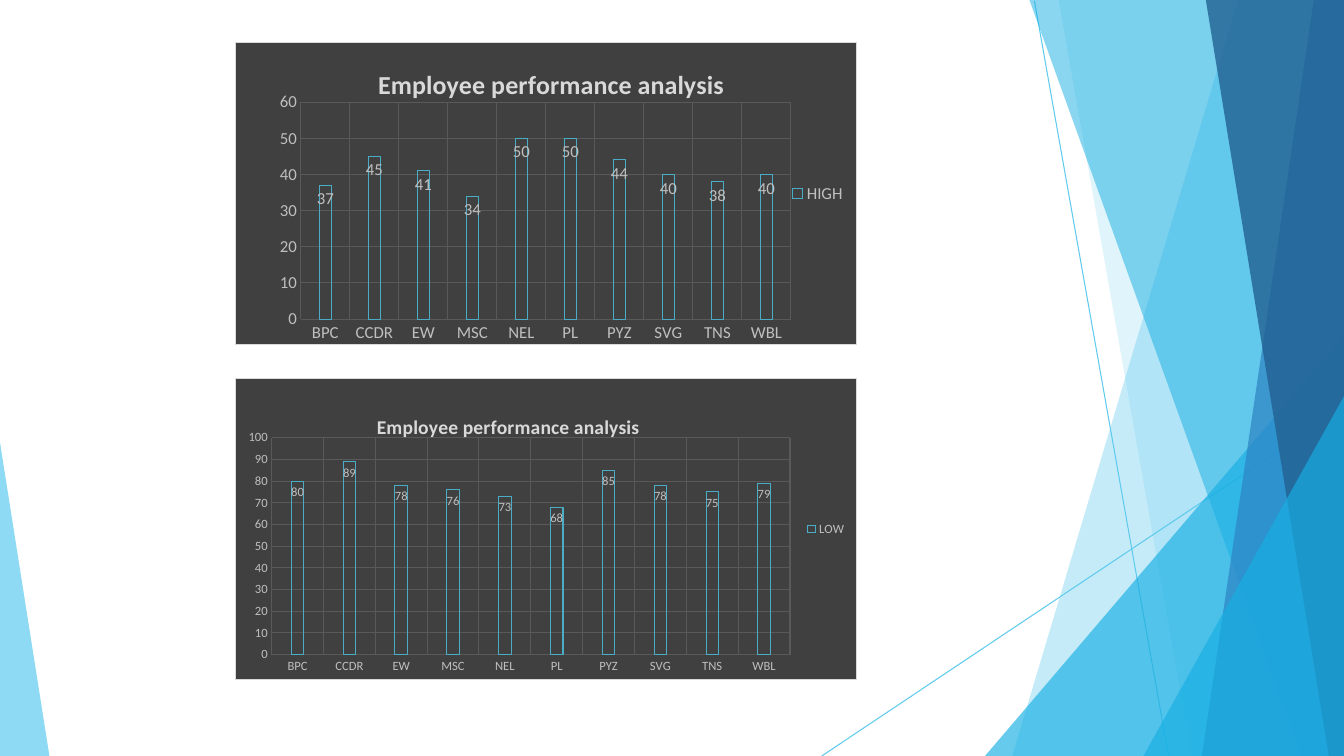
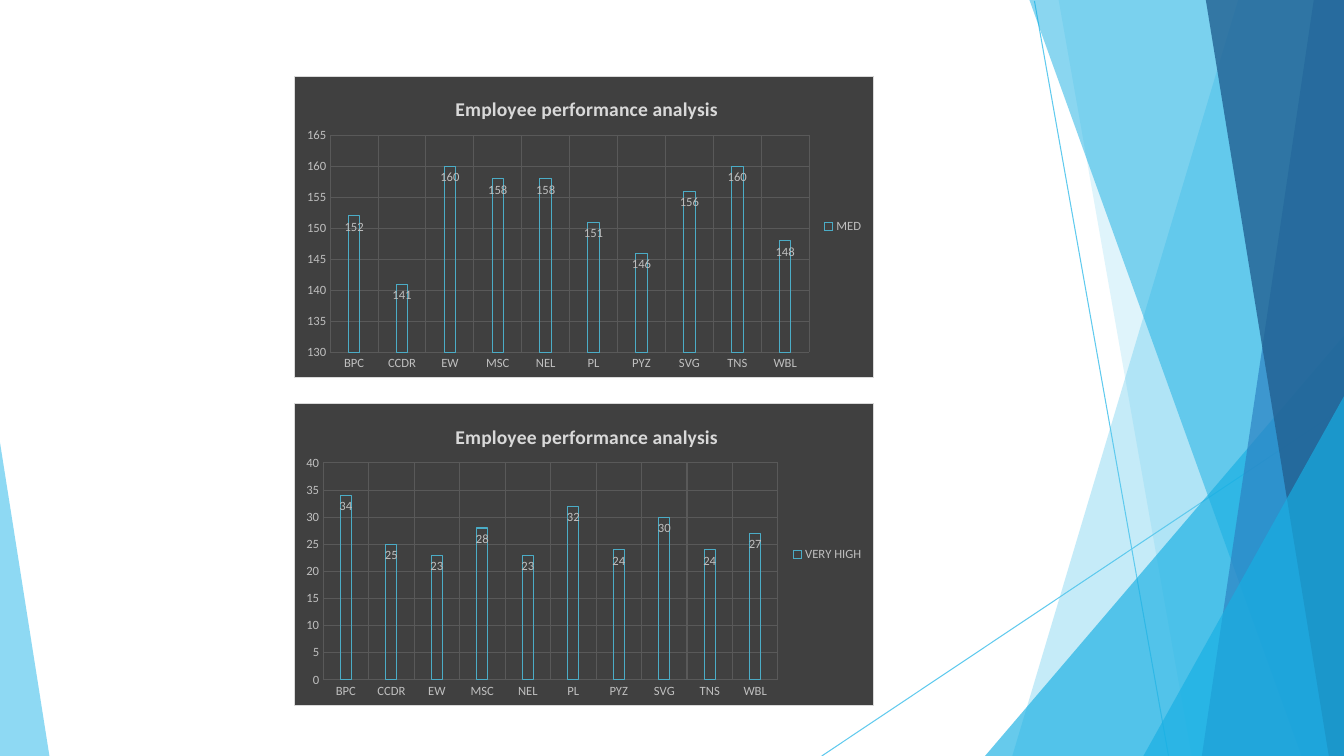
from lxml.etree import SubElement
from pptx import Presentation
from pptx.chart.data import CategoryChartData
from pptx.dml.color import RGBColor
from pptx.enum.chart import (XL_CHART_TYPE, XL_LABEL_POSITION,
                             XL_LEGEND_POSITION, XL_TICK_MARK)
from pptx.enum.shapes import MSO_CONNECTOR
from pptx.oxml import parse_xml
from pptx.oxml.ns import nsdecls, qn
from pptx.util import Inches, Pt

SKY = RGBColor(0x5F, 0xCA, 0xEE)
CYAN = RGBColor(0x17, 0xAF, 0xE3)
BLUE = RGBColor(0x2D, 0x83, 0xC3)
NAVY = RGBColor(0x22, 0x61, 0x92)
PANEL = RGBColor(0x40, 0x40, 0x40)
GRID = RGBColor(0x59, 0x59, 0x59)
LABEL = RGBColor(0xBF, 0xBF, 0xBF)
TITLE = RGBColor(0xD9, 0xD9, 0xD9)
BAR_OUTLINE = RGBColor(0x4B, 0xAC, 0xC6)

FONT = "Calibri"
WIDTH, HEIGHT = 13.33, 7.5
CHART_HEIGHT = 3
PLOT_TOP, PLOT_HEIGHT = 0.59, 2.16
CHART_TITLE = "Employee performance analysis"
UNITS = ["BPC", "CCDR", "EW", "MSC", "NEL", "PL", "PYZ", "SVG", "TNS", "WBL"]

RAYS = [((10.26, 0.01), (11.59, HEIGHT)), ((WIDTH, 4.04), (8.15, HEIGHT))]
# Each facet: colour, opacity in percent, corners
FACETS = [
    (SKY, 36, [(WIDTH, 0), (12.28, 0), (10.04, HEIGHT), (WIDTH, HEIGHT)]),
    (SKY, 20, [(WIDTH, 0), (10.5, 0), (11.82, HEIGHT), (WIDTH, HEIGHT)]),
    (CYAN, 66, [(WIDTH, 3.33), (9.77, HEIGHT), (WIDTH, HEIGHT)]),
    (CYAN, 50, [(WIDTH, 0), (10.21, 0), (12.91, HEIGHT), (WIDTH, HEIGHT)]),
    (BLUE, 70, [(WIDTH, 0), (13.03, 0), (11.92, HEIGHT), (WIDTH, HEIGHT)]),
    (NAVY, 80, [(WIDTH, 0), (11.96, 0), (13.18, HEIGHT), (WIDTH, HEIGHT)]),
    (CYAN, 66, [(WIDTH, 3.93), (11.34, HEIGHT), (WIDTH, HEIGHT)]),
    (SKY, 70, [(0, 4.39), (0, HEIGHT), (0.49, HEIGHT)]),
]

# Per slide: left and width of its charts, then the charts from top to bottom.
# Title position and plot left/width are inches inside the chart.
SLIDES = [
    (2.33, 6.17, [
        dict(top=0.42, rating="HIGH", scale=(0, 60, 10), size=12,
             values=[37, 45, 41, 34, 50, 50, 44, 40, 38, 40],
             title_size=18.6, title_at=(1.37, 0.19), plot=(0.65, 4.87)),
        dict(top=3.75, rating="LOW", scale=(0, 100, 10), size=9,
             values=[80, 89, 78, 76, 73, 68, 85, 78, 75, 79],
             title_size=14, title_at=(1.37, 0.31), plot=(0.36, 5.15)),
    ]),
    (2.92, 5.75, [
        dict(top=0.75, rating="MED", scale=(130, 165, 5), size=9,
             values=[152, 141, 160, 158, 158, 151, 146, 156, 160, 148],
             title_size=14, title_at=(1.56, 0.16), plot=(0.35, 4.76)),
        dict(top=4, rating="VERY HIGH", scale=(0, 40, 5), size=9,
             values=[34, 25, 23, 28, 23, 32, 24, 30, 24, 27],
             title_size=14, title_at=(1.56, 0.16), plot=(0.28, 4.52)),
    ]),
]


def draw_facets(slide, layout):
    """Draw the backdrop and hand it to the layout that the slides share."""
    backdrop = []
    for start, end in RAYS:
        ray = slide.shapes.add_connector(
            MSO_CONNECTOR.STRAIGHT, *map(Inches, start + end))
        ray.line.color.rgb = SKY
        ray.line.width = Pt(0.75)
        SubElement(ray.element.spPr, qn("a:effectLst"))
        backdrop.append(ray)
    for color, opacity, corners in FACETS:
        points = [(Inches(x), Inches(y)) for x, y in corners]
        outline = slide.shapes.build_freeform(*points[0])
        outline.add_line_segments(points[1:], close=True)
        facet = outline.convert_to_shape()
        facet.shadow.inherit = False
        facet.line.fill.background()
        facet.fill.solid()
        facet.fill.fore_color.rgb = color
        tint = facet.element.spPr.find(".//" + qn("a:srgbClr"))
        SubElement(tint, qn("a:alpha"), val=str(opacity * 1000))
        backdrop.append(facet)
    for part in backdrop:
        layout.shapes.element.append(part.element)


def style_font(font, size, color=LABEL, bold=False):
    font.name = FONT
    font.size = Pt(size)
    font.color.rgb = color
    font.bold = bold


def set_layout(parent, index, inner=False, **fractions):
    """Fix the place of a chart part, as fractions of the chart."""
    for old in parent.findall(qn("c:layout")):
        parent.remove(old)
    layout = parse_xml(f'<c:layout {nsdecls("c")}><c:manualLayout/></c:layout>')
    manual = layout[0]
    if inner:
        SubElement(manual, qn("c:layoutTarget"), val="inner")
    for side in "xy":
        SubElement(manual, qn(f"c:{side}Mode"), val="edge")
    for key, fraction in fractions.items():
        SubElement(manual, qn(f"c:{key}"), val=f"{fraction:.4f}")
    parent.insert(index, layout)


def fill_panel(chart):
    chart.element.find(qn("c:chart")).addnext(parse_xml(
        f'<c:spPr {nsdecls("c", "a")}>'
        f'<a:solidFill><a:srgbClr val="{PANEL}"/></a:solidFill>'
        f'<a:ln w="{Pt(0.75)}"><a:solidFill><a:srgbClr val="{TITLE}"/>'
        '</a:solidFill></a:ln></c:spPr>'))


def style_axis(axis, size):
    axis.major_tick_mark = axis.minor_tick_mark = XL_TICK_MARK.NONE
    axis.format.line.fill.background()
    axis.has_major_gridlines = True
    axis.major_gridlines.format.line.color.rgb = GRID
    axis.major_gridlines.format.line.width = Pt(0.75)
    style_font(axis.tick_labels.font, size)


def add_rating_chart(slide, left, width, top, rating, values, scale, size,
                     title_size, title_at, plot):
    data = CategoryChartData()
    data.categories = UNITS
    data.add_series(rating, values)
    chart = slide.shapes.add_chart(
        XL_CHART_TYPE.COLUMN_CLUSTERED, Inches(left), Inches(top),
        Inches(width), Inches(CHART_HEIGHT), data).chart
    style_font(chart.font, 10)
    fill_panel(chart)

    chart.has_title = True
    heading = chart.chart_title.text_frame.paragraphs[0].add_run()
    heading.text = CHART_TITLE
    style_font(heading.font, title_size, TITLE, bold=True)
    set_layout(chart.chart_title.element, 1,
               x=title_at[0] / width, y=title_at[1] / CHART_HEIGHT)
    set_layout(chart.element.find(".//" + qn("c:plotArea")), 0, inner=True,
               x=plot[0] / width, y=PLOT_TOP / CHART_HEIGHT,
               w=plot[1] / width, h=PLOT_HEIGHT / CHART_HEIGHT)

    chart.has_legend = True
    chart.legend.position = XL_LEGEND_POSITION.RIGHT
    chart.legend.include_in_layout = False
    style_font(chart.legend.font, size)

    style_axis(chart.category_axis, size)
    style_axis(chart.value_axis, size)
    (chart.value_axis.minimum_scale, chart.value_axis.maximum_scale,
     chart.value_axis.major_unit) = scale

    columns = chart.plots[0]
    columns.gap_width = 315
    columns.overlap = -40
    columns.vary_by_categories = False
    bars = columns.series[0]
    bars.format.fill.background()
    bars.format.line.color.rgb = BAR_OUTLINE
    bars.format.line.width = Pt(0.75)
    bars.data_labels.show_value = True
    bars.data_labels.position = XL_LABEL_POSITION.INSIDE_END
    style_font(bars.data_labels.font, size)


def main():
    prs = Presentation()
    prs.slide_width, prs.slide_height = Inches(WIDTH), Inches(HEIGHT)
    blank = prs.slide_layouts[6]
    for number, (left, width, charts) in enumerate(SLIDES):
        slide = prs.slides.add_slide(blank)
        if number == 0:
            draw_facets(slide, blank)
        for chart in charts:
            add_rating_chart(slide, left, width, **chart)
    prs.save("out.pptx")


if __name__ == "__main__":
    main()
